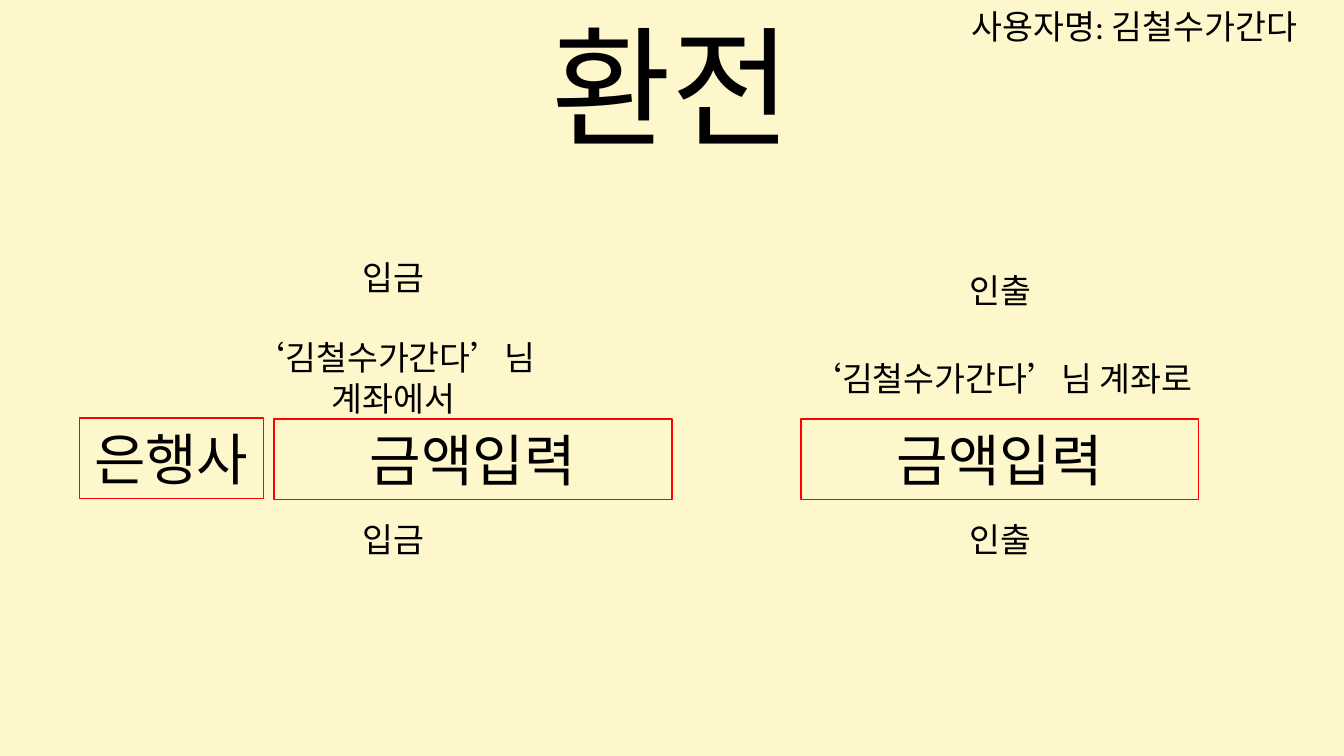
from pptx import Presentation
from pptx.dml.color import RGBColor
from pptx.enum.shapes import MSO_SHAPE
from pptx.enum.text import MSO_ANCHOR, MSO_AUTO_SIZE, PP_ALIGN
from pptx.util import Pt
from lxml import etree

RECT = MSO_SHAPE.RECTANGLE
NOTO = "Noto Sans CJK KR"
FRAME = {"vertical_anchor": MSO_ANCHOR.MIDDLE, "word_wrap": True,
         "auto_size": MSO_AUTO_SIZE.NONE}
MAIN = "{http://schemas.openxmlformats.org/drawingml/2006/main}"

# Content: label, account, centre of column, top of label, centre of field
title = ("환전", (248.4, 0, 222.5, 90.7))
user = ("사용자명: 김철수가간다", (495.4, 0, 224.6, 28.1))
sides = [
    ("인출", "‘김철수가간다’님 계좌로", 535.9, 141.1, 535.7),
    ("입금", "‘김철수가간다’님 계좌에서", 210.8, 133.9, 253.4),
]
field = "금액입력"
bank = ("은행사", (42.5, 223.9, 98.6, 43.2))


def color(code):
    return RGBColor.from_string(code)


def write(shape, text, size, font=NOTO):
    frame = shape.text_frame
    for name, value in FRAME.items():
        setattr(frame, name, value)
    para = frame.paragraphs[0]
    para.alignment = PP_ALIGN.CENTER
    run = para.add_run()
    run.text = text
    for name, value in {"size": Pt(size), "name": font}.items():
        setattr(run.font, name, value)
    run.font.color.rgb = color("000000")
    # East Asian typeface follows the Latin one
    latin = run.font._element.find(MAIN + "latin")
    east = etree.Element(MAIN + "ea", typeface=NOTO)
    latin.addnext(east)


def label(text, box, font=NOTO):
    shape = slide.shapes.add_textbox(*map(Pt, box))
    write(shape, text, 18, font)


def entry(text, box):
    shape = slide.shapes.add_shape(RECT, *map(Pt, box))
    shape.shadow.inherit = False
    shape.fill.background()
    shape.line.color.rgb = color("FF0000")
    shape.line.width = Pt(0.75)
    write(shape, text, 30)


def mid(center, top, width, height):
    return center - width / 2, top, width, height


# Slide and background
deck = Presentation()
deck.slide_width, deck.slide_height = Pt(720), Pt(405)
slide = deck.slides.add_slide(deck.slide_layouts[5])
back = slide.background.fill
back.solid()
back.fore_color.rgb = color("FFF7CC")

# Title and user name
head = slide.shapes.title
head.left, head.top, head.width, head.height = map(Pt, title[1])
write(head, title[0], 70)
label(*user, font="Calibri")

# Withdrawal and deposit columns
for name, account, center, top, spot in sides:
    label(name, mid(center, top, 113, 28.8))
    label(account, mid(center, 187.9, 227.5, 28.8))
    entry(field, mid(spot, 224.6, 213.1, 43.2))
    label(name, mid(center, 274.3, 113, 28.8))
entry(*bank)

deck.save("out.pptx")
